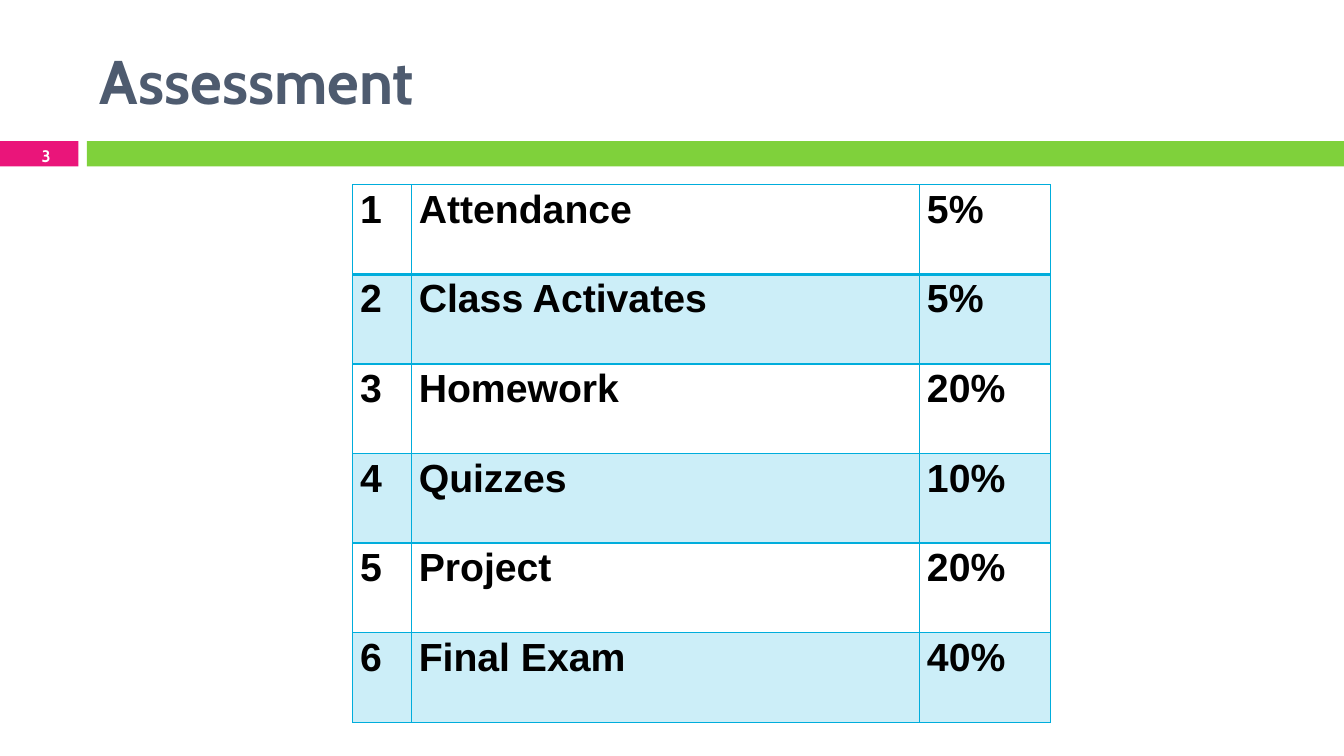
from lxml.etree import SubElement
from pptx import Presentation
from pptx.dml.color import RGBColor
from pptx.enum.shapes import MSO_SHAPE
from pptx.enum.text import MSO_ANCHOR, PP_ALIGN
from pptx.oxml import parse_xml
from pptx.oxml.ns import nsdecls, qn
from pptx.util import Pt

PINK = RGBColor(0xEA, 0x15, 0x7A)
GREEN = RGBColor(0x7F, 0xD1, 0x3B)
SLATE = RGBColor(0x4E, 0x5B, 0x6F)
CYAN = RGBColor(0x00, 0xAD, 0xDC)
BLACK = RGBColor(0, 0, 0)
WHITE = RGBColor(0xFF, 0xFF, 0xFF)

ASSESSMENTS = [
    ("Attendance", "5%"),
    ("Class Activates", "5%"),
    ("Homework", "20%"),
    ("Quizzes", "10%"),
    ("Project", "20%"),
    ("Final Exam", "40%"),
]


def style_text(p, font, size, color):
    for r in p.runs:
        r.font.name = font
        r.font.size = Pt(size)
        r.font.bold = True
        r.font.color.rgb = color


def add_title(s, text, x, y, w, h):
    sp = s.shapes.title
    sp.left, sp.top, sp.width, sp.height = Pt(x), Pt(y), Pt(w), Pt(h)
    tf = sp.text_frame
    tf.text = text
    tf.vertical_anchor = MSO_ANCHOR.MIDDLE
    p = tf.paragraphs[0]
    p.alignment = PP_ALIGN.LEFT
    style_text(p, "Cabin", 44, SLATE)


def add_band(s, number, x, y, w, h):
    tab_w, gap = 56, 6
    bar_x = tab_w + gap
    for left, width, color in ((0, tab_w, PINK), (bar_x, w - bar_x, GREEN)):
        sp = s.shapes.add_shape(MSO_SHAPE.RECTANGLE, Pt(x + left), Pt(y), Pt(width), Pt(h))
        sp.shadow.inherit = False
        sp.fill.solid()
        sp.fill.fore_color.rgb = color
        sp.line.fill.background()
    box = s.shapes.add_textbox(Pt(x + 12), Pt(y + 0.9), Pt(42), Pt(19.2))
    tf = box.text_frame
    tf.word_wrap = True
    tf.margin_top = tf.margin_bottom = 0
    tf.vertical_anchor = MSO_ANCHOR.MIDDLE
    tf.text = number
    p = tf.paragraphs[0]
    p.alignment = PP_ALIGN.CENTER
    style_text(p, "Cabin", 11.9, WHITE)


def set_borders(cell, top, bottom):
    tc_pr = cell._tc.get_or_add_tcPr()
    sides = (("lnL", 1), ("lnR", 1), ("lnT", top), ("lnB", bottom))
    for i, (side, width) in enumerate(sides):
        tc_pr.insert(i, parse_xml(
            f'<a:{side} {nsdecls("a")} w="{Pt(width)}"><a:solidFill>'
            f'<a:srgbClr val="{CYAN}"/></a:solidFill></a:{side}>'))


def fill_cell(cell, shaded):
    if not shaded:
        cell.fill.background()
        return
    cell.fill.solid()
    cell.fill.fore_color.rgb = CYAN
    color = cell._tc.tcPr.find(".//" + qn("a:srgbClr"))
    SubElement(color, qn("a:alpha")).set("val", "20000")


def add_assessment_table(s, rows, x, y, w, h):
    num_w, share_w = 42, 93.2
    widths = (num_w, w - num_w - share_w, share_w)
    table = s.shapes.add_table(len(rows), len(widths), Pt(x), Pt(y), Pt(w), Pt(h)).table
    table.first_row = False
    table.horz_banding = False
    for col, width in zip(table.columns, widths):
        col.width = Pt(width)
    for i, (name, share) in enumerate(rows):
        table.rows[i].height = Pt(h / len(rows))
        for j, text in enumerate((str(i + 1), name, share)):
            cell = table.cell(i, j)
            cell.margin_left = cell.margin_right = Pt(5.2)
            cell.margin_top = cell.margin_bottom = 0
            cell.text_frame.text = text
            p = cell.text_frame.paragraphs[0]
            p.line_spacing = 1.07
            style_text(p, "Arial", 28, BLACK)
            fill_cell(cell, i % 2 == 1)
            set_borders(cell, 2 if i == 1 else 1, 2 if i == 0 else 1)


def main():
    prs = Presentation()
    prs.slide_width, prs.slide_height = Pt(960), Pt(540)
    s = prs.slides.add_slide(prs.slide_layouts[5])
    add_band(s, "3", 0, 100.8, 960, 18)
    add_title(s, "Assessment", 64, 18, 856, 78)
    add_assessment_table(s, ASSESSMENTS, 252, 132, 498.2, 384)
    prs.save("out.pptx")


if __name__ == "__main__":
    main()
